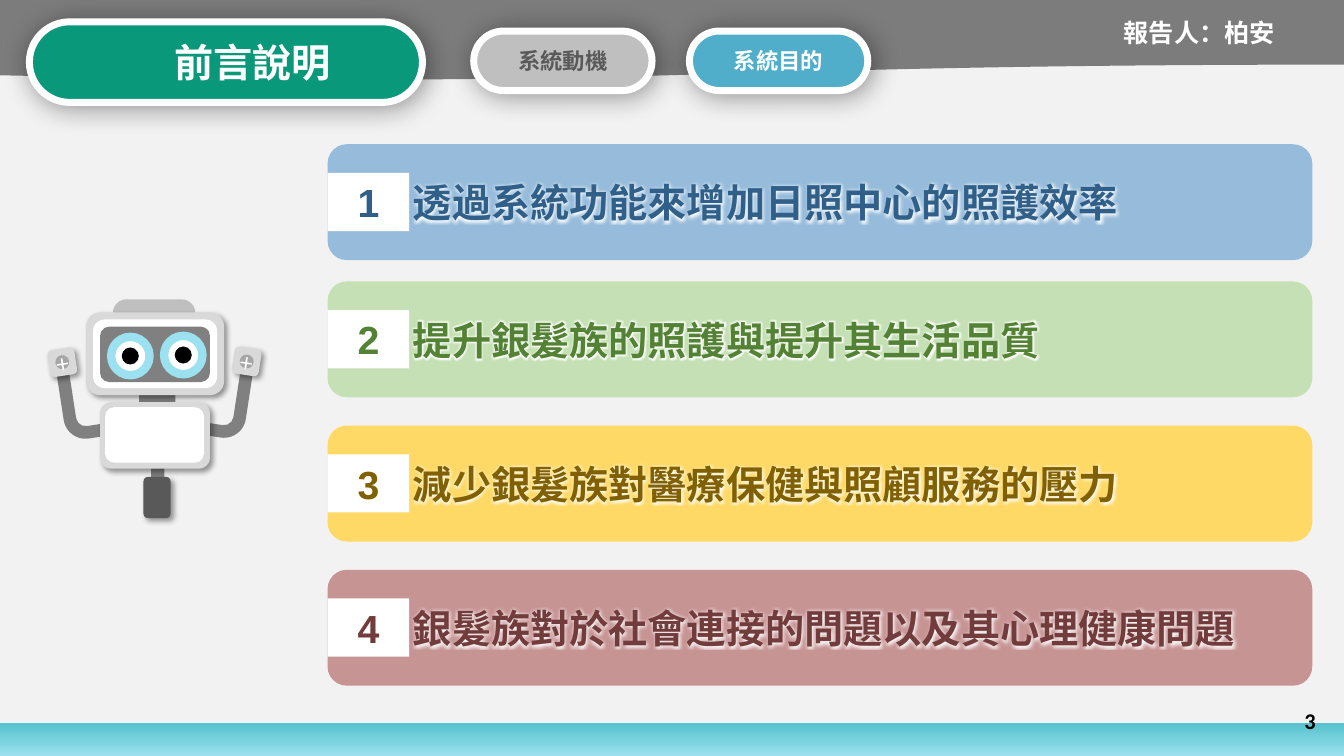
from lxml import etree
from pptx import Presentation
from pptx.dml.color import RGBColor
from pptx.enum.shapes import MSO_SHAPE
from pptx.enum.text import MSO_ANCHOR, MSO_AUTO_SIZE, PP_ALIGN
from pptx.oxml.ns import qn
from pptx.util import Pt

RECT = MSO_SHAPE.RECTANGLE
ROUND = MSO_SHAPE.ROUNDED_RECTANGLE
OVAL = MSO_SHAPE.OVAL
BENT_ARROW = MSO_SHAPE.BENT_ARROW
WAVE = MSO_SHAPE.FLOWCHART_DOCUMENT
LEFT, CENTER, RIGHT = PP_ALIGN.LEFT, PP_ALIGN.CENTER, PP_ALIGN.RIGHT
MIDDLE = MSO_ANCHOR.MIDDLE
CJK, LATIN, NUMERAL = "Noto Sans CJK SC", "Arial", "Calibri"

COLORS = {
    "background": "F2F2F2", "header": "7C7C7C", "white": "FFFFFF", "black": "000000",
    "footer_top": "55C2CD", "aqua": "9BE1EF", "title": "0A987A", "tab": "51AECB",
    "silver": "BFBFBF", "pale": "D9D9D9", "steel": "808080", "screw": "A6A6A6",
    "dark": "595959",
    "blue": "97BCDB", "blue_text": "306089", "green": "C5E0B4", "green_text": "548235",
    "yellow": "FFD966", "yellow_text": "806000", "red": "C79494", "red_text": "723C3C",
}

GOALS = [
    (103, "透過系統功能來增加日照中心的照護效率", "blue"),
    (201, "提升銀髮族的照護與提升其生活品質", "green"),
    (304, "減少銀髮族對醫療保健與照顧服務的壓力", "yellow"),
    (407, "銀髮族對於社會連接的問題以及其心理健康問題", "red"),
]


def rgb(name):
    return RGBColor.from_string(COLORS[name])


def add_effect(effects, tag, color, opacity, **attributes):
    effect = etree.SubElement(effects, qn(tag))
    for key, value in attributes.items():
        effect.set(key, str(int(value)))
    tint = etree.SubElement(effect, qn("a:srgbClr"), val=COLORS[color])
    etree.SubElement(tint, qn("a:alpha"), val=str(opacity * 1000))


def add_figure(shapes, kind, area, fill, outline=None, blur=0, angle=0):
    """Add a filled preset shape; outline is (colour, width), blur gives a soft shadow."""
    shape = shapes.add_shape(kind, *[Pt(length) for length in area])
    shape.shadow.inherit = False
    shape.fill.solid()
    shape.fill.fore_color.rgb = rgb(fill)
    shape.rotation = angle
    if outline:
        shape.line.color.rgb = rgb(outline[0])
        shape.line.width = Pt(outline[1])
    else:
        shape.line.fill.background()
    if blur:
        effects = shape._element.spPr.find(qn("a:effectLst"))
        add_effect(effects, "a:outerShdw", "black", 40, blurRad=Pt(blur),
                   dist=Pt(3), dir=45 * 60000)
    return shape


def write(box, text, size, color, font, align=CENTER, bold=True, glow=0):
    frame = box.text_frame
    frame.vertical_anchor = MIDDLE
    para = frame.paragraphs[0]
    para.alignment = align
    span = para.add_run()
    span.text = text
    span.font.size = Pt(size)
    span.font.bold = bold
    span.font.color.rgb = rgb(color)
    properties = span._r.get_or_add_rPr()
    if glow:
        effects = etree.SubElement(properties, qn("a:effectLst"))
        add_effect(effects, "a:glow", "white", 100, rad=Pt(glow))
    span.font.name = font
    etree.SubElement(properties, qn("a:ea"), typeface=CJK)


def add_pill(page, area, fill, text, size, color, indent=7.2):
    pill = add_figure(page.shapes, ROUND, area, fill, ("white", 5), blur=20)
    pill.adjustments[0] = 0.5
    pill.text_frame.margin_left = Pt(indent)
    write(pill, text, size, color, CJK)


def add_label(page, area, text, size, color, font, align, wrap):
    box = page.shapes.add_textbox(*[Pt(length) for length in area])
    box.text_frame.word_wrap = wrap
    if not wrap:
        box.text_frame.auto_size = MSO_AUTO_SIZE.SHAPE_TO_FIT_TEXT
    write(box, text, size, color, font, align)


def add_goal(page, number, top, text, color):
    group = page.shapes.add_group_shape().shapes
    bar = add_figure(group, ROUND, (234, top, 703.4, 82.8), color)
    bar.text_frame.margin_left = Pt(57)
    write(bar, text, 28, color + "_text", LATIN, LEFT, glow=5)
    badge = add_figure(group, RECT, (234, top + 20.5, 58.3, 41.6), "white")
    write(badge, str(number), 28, color + "_text", LATIN)


def add_arm(robot, left, top, angle, mirrored):
    arm = add_figure(robot, BENT_ARROW, (left, top, 57.6, 36), "steel", angle=angle)
    for index, value in enumerate((0.25, 0.25, 0, 0.438)):
        arm.adjustments[index] = value
    frame = arm._element.spPr.find(qn("a:xfrm"))
    frame.set("flipV", "1")
    if mirrored:
        frame.set("flipH", "1")


def add_hand(robot, left, top, angle):
    add_figure(robot, ROUND, (left, top, 19.4, 19.4), "pale", blur=4, angle=angle)
    screw = add_figure(robot, OVAL, (left + 4.7, top + 4.7, 10, 10), "screw", angle=angle)
    frame = screw.text_frame
    frame.word_wrap = False
    frame.margin_left = frame.margin_right = frame.margin_top = frame.margin_bottom = 0
    write(screw, "+", 18, "white", NUMERAL, bold=False)


def add_eye(robot, left, top):
    add_figure(robot, OVAL, (left, top, 27.4, 27.4), "white", ("aqua", 6))
    add_figure(robot, OVAL, (left + 7.6, top + 7.6, 12.2, 12.2), "black")


def add_robot(page):
    robot = page.shapes.add_group_shape().shapes
    add_arm(robot, 135.4, 266.4, 278.7, False)
    add_hand(robot, 166.5, 248.5, 8.7)
    add_arm(robot, 28.1, 267.1, 81.3, True)
    add_hand(robot, 34.8, 249, 351.3)
    for area, fill, blur in [
        ((108, 267.1, 9.4, 93.6), "steel", 0),      # spine
        ((99.4, 229.7, 25.9, 93.6), "steel", 0),    # neck
        ((80.6, 213.8, 59, 59), "silver", 0),       # cap
        ((61.5, 223.2, 98.6, 59), "pale", 4),       # head
        ((66.5, 228.2, 88.6, 49), "white", 0),
        ((71.5, 233.3, 78.5, 39.6), "steel", 0),    # visor
        ((71.5, 287.3, 78.5, 47.5), "pale", 4),     # body
        ((75.1, 290.9, 70.6, 39.6), "white", 0),
        ((102.5, 340.6, 19.4, 29.5), "dark", 4),    # foot
    ]:
        add_figure(robot, ROUND, area, fill, blur=blur)
    add_eye(robot, 79.4, 240.6)
    add_eye(robot, 117.2, 239.9)


def add_footer(page):
    footer = add_figure(page.shapes, RECT, (0, 516.4, 960, 23.6), "aqua")
    footer.fill.gradient()
    footer.fill.gradient_angle = 270
    for stop, position, color in zip(footer.fill.gradient_stops, (0, 1),
                                     ("footer_top", "aqua")):
        stop.position = position
        stop.color.rgb = rgb(color)


def main():
    deck = Presentation()
    deck.slide_width, deck.slide_height = Pt(960), Pt(540)
    page = deck.slides.add_slide(deck.slide_layouts[6])
    page.background.fill.solid()
    page.background.fill.fore_color.rgb = rgb("background")

    add_figure(page.shapes, WAVE, (-1.2, 0, 961.2, 57.6), "header")
    add_footer(page)
    add_pill(page, (338.4, 22.2, 127.4, 42.5), "silver", "系統動機", 16, "dark")
    add_pill(page, (21, 15.6, 280.8, 57.6), "title", "前言說明", 28, "white", indent=45)
    add_pill(page, (492.5, 22.2, 127.4, 42.5), "tab", "系統目的", 16, "white")
    add_label(page, (730.8, 500.4, 216, 28.8), "3", 16, "black", NUMERAL, RIGHT, True)
    add_robot(page)
    add_label(page, (795.6, 8.6, 123.8, 28.8), "報告人：柏安", 18, "white", CJK, LEFT, False)
    for number, (top, text, color) in enumerate(GOALS, 1):
        add_goal(page, number, top, text, color)
    deck.save("out.pptx")


if __name__ == "__main__":
    main()
